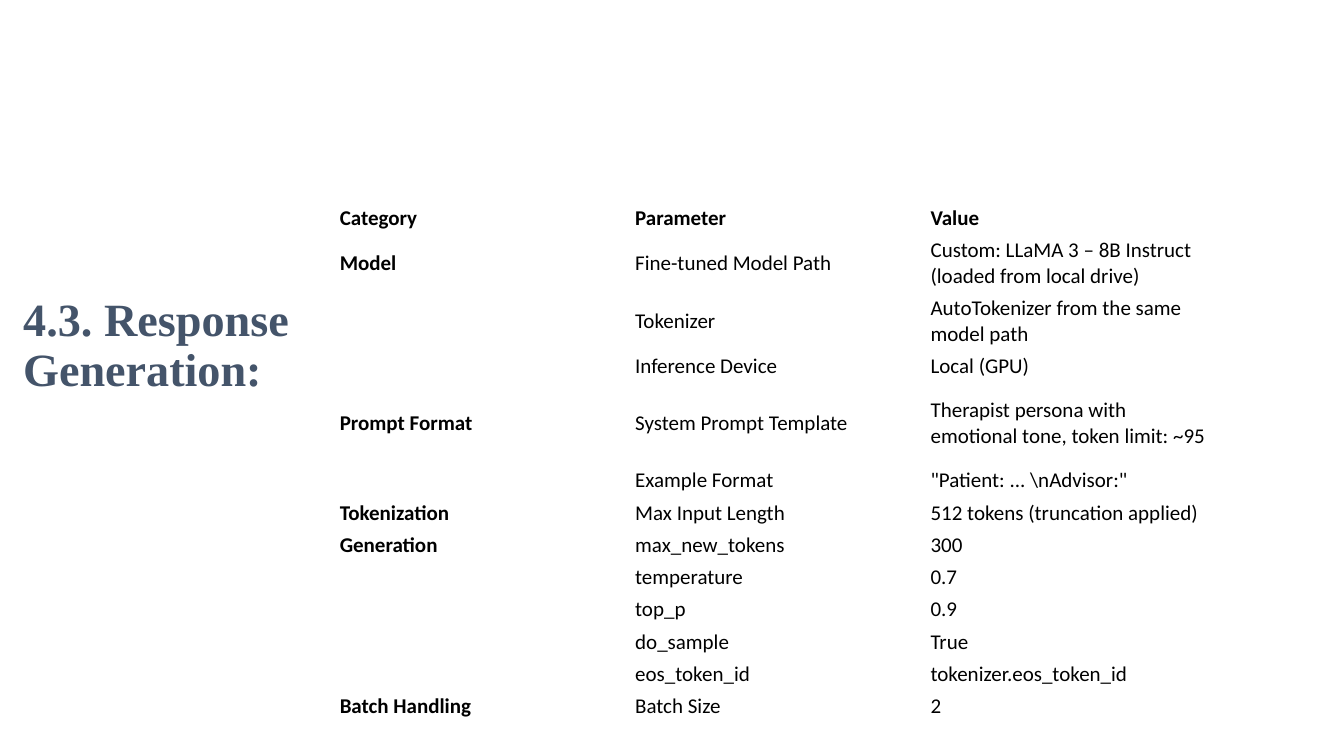
"""Build the slide listing the response generation settings in a table."""
from lxml.etree import SubElement
from pptx import Presentation
from pptx.dml.color import RGBColor
from pptx.enum.text import MSO_ANCHOR as Anchor, MSO_AUTO_SIZE as AutoSize, PP_ALIGN as Align
from pptx.oxml.ns import qn
from pptx.util import Pt

PX = 9144
SLATE = RGBColor(0x44, 0x54, 0x6A)
BLACK = RGBColor(0x00, 0x00, 0x00)
COLUMN_WIDTH = 293
ROW_HEIGHT = 32
TALL_ROWS = {1: 57, 2: 57, 4: 82}
SETTINGS = [
    ("Category", "Parameter", "Value"),
    ("Model", "Fine-tuned Model Path", "Custom: LLaMA 3 – 8B Instruct (loaded from local drive)"),
    ("", "Tokenizer", "AutoTokenizer from the same model path"),
    ("", "Inference Device", "Local (GPU)"),
    ("Prompt Format", "System Prompt Template",
     "Therapist persona with emotional tone, token limit: ~95"),
    ("", "Example Format", "\"Patient: ... \\nAdvisor:\""),
    ("Tokenization", "Max Input Length", "512 tokens (truncation applied)"),
    ("Generation", "max_new_tokens", "300"),
    ("", "temperature", "0.7"),
    ("", "top_p", "0.9"),
    ("", "do_sample", "True"),
    ("", "eos_token_id", "tokenizer.eos_token_id"),
    ("Batch Handling", "Batch Size", "2"),
]


def write(paragraph, text, size, font, color, bold=False):
    paragraph.alignment = Align.LEFT
    if not text:
        SubElement(paragraph._p, qn("a:endParaRPr"), sz=str(size * 100))
        return
    run = paragraph.add_run()
    run.text = text
    run.font.size = Pt(size)
    run.font.name = font
    run.font.bold = bold
    run.font.color.rgb = color


presentation = Presentation()
presentation.slide_width = 1333 * PX
presentation.slide_height = 750 * PX
slide = presentation.slides.add_slide(presentation.slide_layouts[5])

title = slide.shapes.title
title.left, title.top, title.width, title.height = 13 * PX, 222 * PX, 318 * PX, 290 * PX
frame = title.text_frame
frame.word_wrap = True
frame.auto_size = AutoSize.NONE
frame.vertical_anchor = Anchor.MIDDLE
frame.margin_bottom = 51 * PX
heading = frame.paragraphs[0]
heading.line_spacing = 0.9
write(heading, "4.3. Response Generation:", size=33, font="Times New Roman", color=SLATE, bold=True)

heights = [TALL_ROWS.get(index, ROW_HEIGHT) for index in range(len(SETTINGS))]
table = slide.shapes.add_table(
    len(SETTINGS), 3, 331 * PX, 201 * PX, 3 * COLUMN_WIDTH * PX, sum(heights) * PX
).table
table.first_row = False
table.horz_banding = False
for column in table.columns:
    column.width = COLUMN_WIDTH * PX

for row_index, (height, values) in enumerate(zip(heights, SETTINGS)):
    table.rows[row_index].height = height * PX
    for column_index, value in enumerate(values):
        cell = table.cell(row_index, column_index)
        cell.fill.background()
        cell.vertical_anchor = Anchor.MIDDLE
        cell.margin_left = cell.margin_right = 6 * PX
        cell.margin_top = cell.margin_bottom = 3 * PX
        write(cell.text_frame.paragraphs[0], value, size=15, font="Calibri", color=BLACK,
              bold=row_index == 0 or column_index == 0)

presentation.save("out.pptx")
